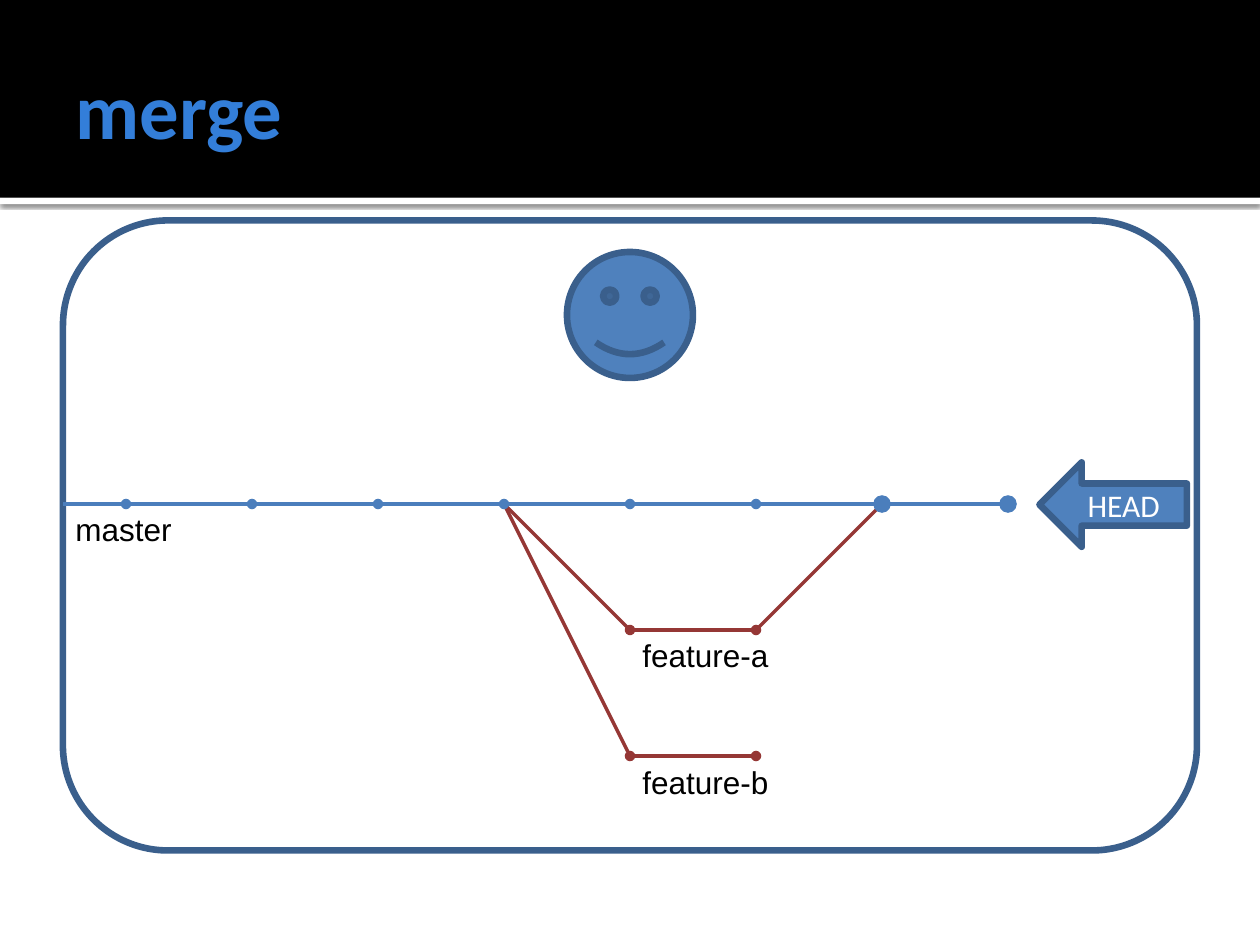
from lxml.etree import SubElement
from pptx import Presentation
from pptx.dml.color import RGBColor
from pptx.enum.shapes import MSO_CONNECTOR, MSO_SHAPE
from pptx.enum.text import MSO_ANCHOR, PP_ALIGN
from pptx.oxml.ns import qn
from pptx.util import Cm, Pt

BLACK = RGBColor(0x00, 0x00, 0x00)
WHITE = RGBColor(0xFF, 0xFF, 0xFF)
TITLE = RGBColor(0x33, 0x7E, 0xD9)
BLUE = RGBColor(0x4F, 0x81, 0xBD)
EDGE = RGBColor(0x3A, 0x5F, 0x8C)
TRUNK = RGBColor(0x4B, 0x7E, 0xBC)
BRANCH = RGBColor(0x95, 0x37, 0x35)

HEADING = {"name": "Calibri", "size": Pt(45), "bold": True}
LABEL = {"name": "Arial", "size": Pt(18)}
TAG = {"name": "Calibri", "size": Pt(18)}


def grid(*units):
    """Turn grid steps of 2.54 cm into lengths."""
    return [Cm(2.54 * unit) for unit in units]


def write(frame, text, style, color):
    para = frame.paragraphs[0]
    para.text = text
    for key, value in style.items():
        setattr(para.font, key, value)
    para.font.color.rgb = color
    return para


def add_text(slide, box, text, style, color, **frame_format):
    frame = slide.shapes.add_textbox(*grid(*box)).text_frame
    frame.word_wrap = True
    for key, value in frame_format.items():
        setattr(frame, key, value)
    write(frame, text, style, color)


def add_shape(slide, kind, box, fill=None, edge=None):
    shape = slide.shapes.add_shape(kind, *grid(*box))
    shape.shadow.inherit = False
    if fill is None:
        shape.fill.background()
    else:
        shape.fill.solid()
        shape.fill.fore_color.rgb = fill
    if edge is None:
        shape.line.fill.background()
    else:
        shape.line.color.rgb = edge
        shape.line.width = Pt(3.78)
    return shape


def add_shadow(shape):
    effects = shape._element.spPr.find(qn("a:effectLst"))
    outer = SubElement(effects, qn("a:outerShdw"), blurRad=str(Pt(2.5)),
                       dist=str(Pt(0.8)), dir="5400000", rotWithShape="0")
    color = SubElement(outer, qn("a:srgbClr"), val="000000")
    SubElement(color, qn("a:alpha"), val="60000")


def add_commit(slide, start, end, color, dot="med"):
    """Draw a line that ends in a commit dot."""
    line = slide.shapes.add_connector(
        MSO_CONNECTOR.STRAIGHT, *grid(*start, *end))
    line.line.color.rgb = color
    line.line.width = Pt(2)
    props = line._element.spPr
    SubElement(props.find(qn("a:ln")), qn("a:tailEnd"),
               type="oval", w=dot, len=dot)
    SubElement(props, qn("a:effectLst"))


def main():
    deck = Presentation()
    deck.slide_width, deck.slide_height = grid(10, 7.5)
    slide = deck.slides.add_slide(deck.slide_layouts[6])

    # Title band
    rule = add_shape(slide, MSO_SHAPE.RECTANGLE, (0, 1.57, 10, 0.05), WHITE)
    add_shadow(rule)
    add_shape(slide, MSO_SHAPE.RECTANGLE, (0, 0, 10, 1.57), BLACK)
    add_text(slide, (0.5, 0.17, 9, 1.37), "merge", HEADING, TITLE,
             vertical_anchor=MSO_ANCHOR.MIDDLE, margin_right=Cm(0.13))

    # Repository frame and its owner
    add_shape(slide, MSO_SHAPE.SMILEY_FACE, (4.5, 2, 1, 1), BLUE, EDGE)
    add_shape(slide, MSO_SHAPE.ROUNDED_RECTANGLE, (0.5, 1.75, 9, 5),
              edge=EDGE)

    # Feature branches, the first one merged back
    for row in (6, 5):
        add_commit(slide, (4, 4), (5, row), BRANCH)
        add_commit(slide, (5, row), (6, row), BRANCH)
    add_commit(slide, (6, 5), (7, 4), BRANCH)

    # Master branch, with large dots from the merge on
    stops = [0.5, *range(1, 9)]
    for left, right in zip(stops, stops[1:]):
        dot = "lg" if right >= 7 else "med"
        add_commit(slide, (left, 4), (right, 4), TRUNK, dot)

    # Branch names
    for left, top, width, name in ((0.5, 4, 1.17, "master"),
                                   (5, 5, 1.33, "feature-a"),
                                   (5, 6.01, 1.33, "feature-b")):
        add_text(slide, (left, top, width, 0.4), name, LABEL, BLACK)

    # Head marker
    head = add_shape(slide, MSO_SHAPE.LEFT_ARROW, (8.25, 3.67, 1.17, 0.67),
                     BLUE, EDGE)
    head.text_frame.vertical_anchor = MSO_ANCHOR.MIDDLE
    write(head.text_frame, "HEAD", TAG, WHITE).alignment = PP_ALIGN.CENTER

    deck.save("out.pptx")


if __name__ == "__main__":
    main()
